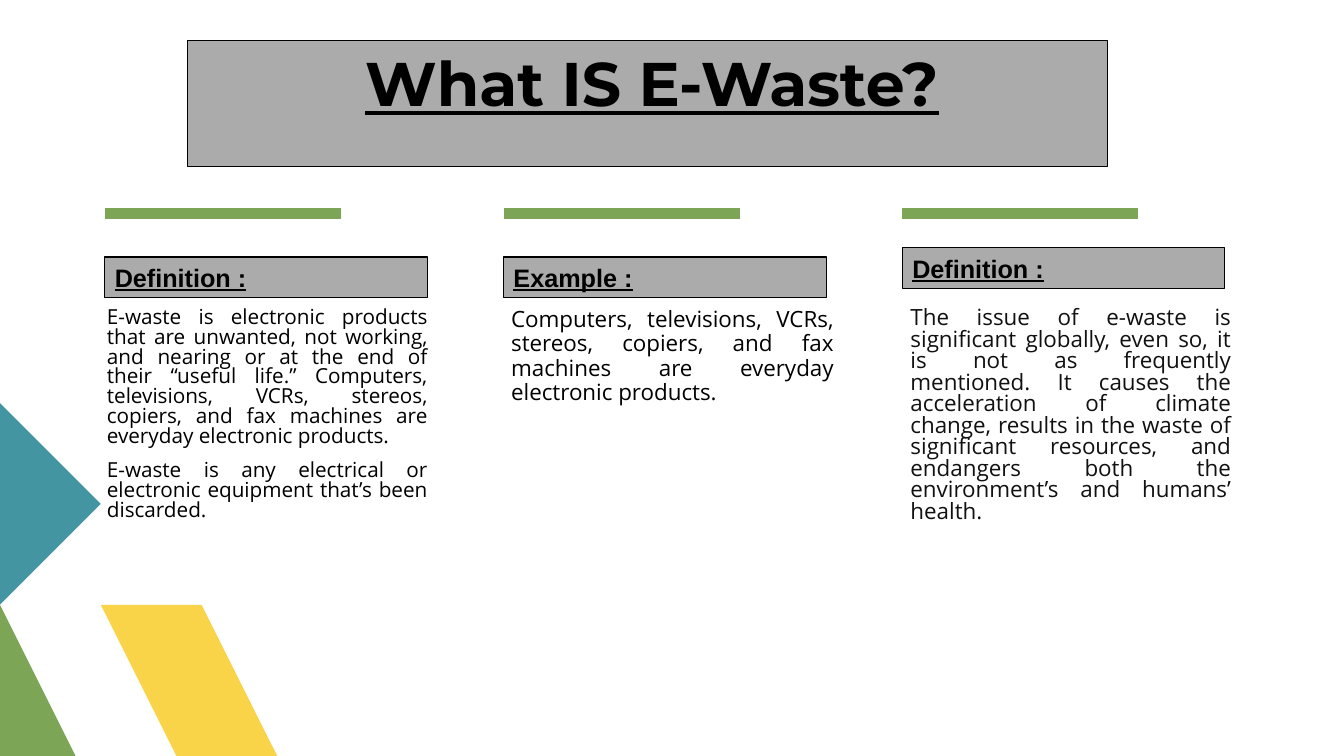
"""Build the slide that defines e-waste in three columns."""
from dataclasses import dataclass

import lxml.etree
import pptx
import pptx.dml.color
import pptx.enum.shapes
import pptx.enum.text
import pptx.oxml.ns
import pptx.util

Inches = pptx.util.Inches
Pt = pptx.util.Pt
Align = pptx.enum.text.PP_ALIGN

BLACK, GRAY, GREEN = "000000", "ABABAB", "7CA655"
FIRST_RULE_LEFT, COLUMN_STEP = 1.04, 3.955
RULE_TOP, RULE_WIDTH = 2.12, 2.34


@dataclass
class Ornament:
    color: str
    corners: list[tuple[float, float]]


@dataclass
class Column:
    heading: str
    heading_top: float
    body_left: float
    body_width: float
    body_height: float
    paragraphs: list[str]
    size: float
    line_spacing: float
    color: str = BLACK


ORNAMENTS = [
    Ornament("F9D448", [(3.24, 7.5), (2.15, 7.5), (1.06, 6.41), (1.61, 5.87)]),
    Ornament(GREEN, [(1.06, 7.5), (0, 7.5), (0, 6.44)]),
    Ornament("4495A2", [(0, 4.27), (1.06, 5.33), (0, 6.39)]),
]

COLUMNS = [
    Column("Definition :", 2.55, 0.92, 3.32, 2.63, [
        "E-waste is electronic products that are unwanted, not working, and nearing "
        "or at the end of their “useful life.” Computers, televisions, VCRs, stereos, "
        "copiers, and fax machines are everyday electronic products.",
        "E-waste is any electrical or electronic equipment that’s been discarded.",
    ], 14.8, 0.8),
    Column("Example :", 2.55, 4.93, 3.34, 2.12, [
        "Computers, televisions, VCRs, stereos, copiers, and fax machines are "
        "everyday electronic products.",
    ], 16, 0.9),
    Column("Definition :", 2.46, 8.89, 3.32, 2.72, [
        "The issue of e-waste is significant globally, even so, it is not as "
        "frequently mentioned. It causes the acceleration of climate change, results "
        "in the waste of significant resources, and endangers both the environment’s "
        "and humans’ health.",
    ], 16, 0.8, "111111"),
]


def paint(color_format, color: str) -> None:
    color_format.rgb = pptx.dml.color.RGBColor.from_string(color)


def fill(shape, color: str) -> None:
    shape.shadow.inherit = False
    shape.fill.solid()
    paint(shape.fill.fore_color, color)


def style(run, face: str, size: float, color: str = BLACK,
          bold: bool = False, underline: bool = False) -> None:
    run.font.name = face
    run.font.size = Pt(size)
    run.font.bold = bold
    run.font.underline = underline
    paint(run.font.color, color)


def add_ornament(slide, ornament: Ornament) -> None:
    start, *others = ornament.corners
    outline = slide.shapes.build_freeform(*start, scale=Inches(1))
    outline.add_line_segments(others, close=True)
    polygon = outline.convert_to_shape()
    fill(polygon, ornament.color)
    polygon.line.fill.background()


def add_rule(slide, left: float) -> None:
    rule = slide.shapes.add_connector(
        pptx.enum.shapes.MSO_CONNECTOR.STRAIGHT, Inches(left), Inches(RULE_TOP),
        Inches(left + RULE_WIDTH), Inches(RULE_TOP))
    rule.line.width = Pt(8)
    paint(rule.line.color, GREEN)
    properties = rule.element.find(pptx.oxml.ns.qn("p:spPr"))
    lxml.etree.SubElement(properties, pptx.oxml.ns.qn("a:effectLst"))


def add_banner(slide, left: float, top: float, width: float, height: float, align):
    """Add a gray outlined box and return its empty paragraph."""
    banner = slide.shapes.add_shape(
        pptx.enum.shapes.MSO_SHAPE.RECTANGLE,
        Inches(left), Inches(top), Inches(width), Inches(height))
    fill(banner, GRAY)
    paint(banner.line.color, BLACK)
    banner.line.width = Pt(0.75)
    frame = banner.text_frame
    frame.word_wrap = True
    frame.vertical_anchor = pptx.enum.text.MSO_ANCHOR.TOP
    paragraph = frame.paragraphs[0]
    paragraph.alignment = align
    return paragraph


def add_body(slide, column: Column) -> None:
    body = slide.shapes.add_textbox(
        Inches(column.body_left), Inches(3.06),
        Inches(column.body_width), Inches(column.body_height))
    frame = body.text_frame
    frame.word_wrap = True
    frame.margin_left = frame.margin_top = frame.margin_right = frame.margin_bottom = 0
    frame.text = "\n".join(column.paragraphs)
    for paragraph in frame.paragraphs:
        paragraph.alignment = Align.JUSTIFY
        paragraph.line_spacing = column.line_spacing
        paragraph.space_before = Pt(10)
        paragraph._p.get_or_add_pPr().set("marL", str(Inches(0.14)))
        style(paragraph.runs[0], "Open Sans", column.size, column.color)


def add_column(slide, column: Column, left: float) -> None:
    add_rule(slide, left)
    add_body(slide, column)
    heading = add_banner(slide, left, column.heading_top, 3.2, 0.4, Align.LEFT)
    heading.text = column.heading
    style(heading.runs[0], "Arial", 18, bold=True, underline=True)


def main() -> None:
    deck = pptx.Presentation()
    deck.slide_width, deck.slide_height = Inches(13.33), Inches(7.5)
    slide = deck.slides.add_slide(deck.slide_layouts[6])
    for ornament in ORNAMENTS:
        add_ornament(slide, ornament)
    title = add_banner(slide, 1.86, 0.4, 9.12, 1.25, Align.CENTER)
    title.text = " "
    style(title.runs[0], "Arial", 24, bold=True)
    question = title.add_run()
    question.text = "What IS E-Waste?"
    style(question, "Montserrat", 44, bold=True, underline=True)
    for index, column in enumerate(COLUMNS):
        add_column(slide, column, FIRST_RULE_LEFT + index * COLUMN_STEP)
    deck.save("out.pptx")


if __name__ == "__main__":
    main()
